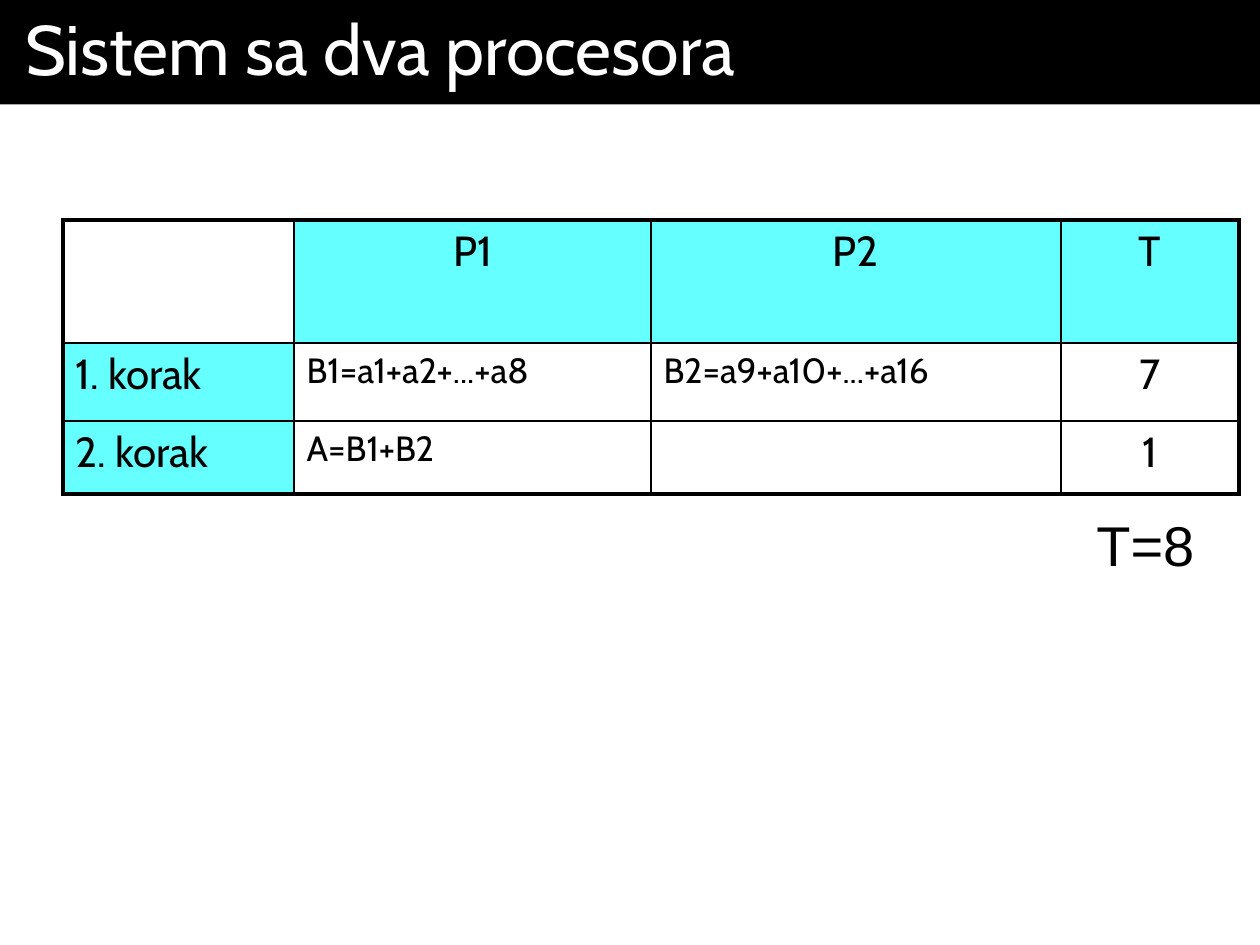
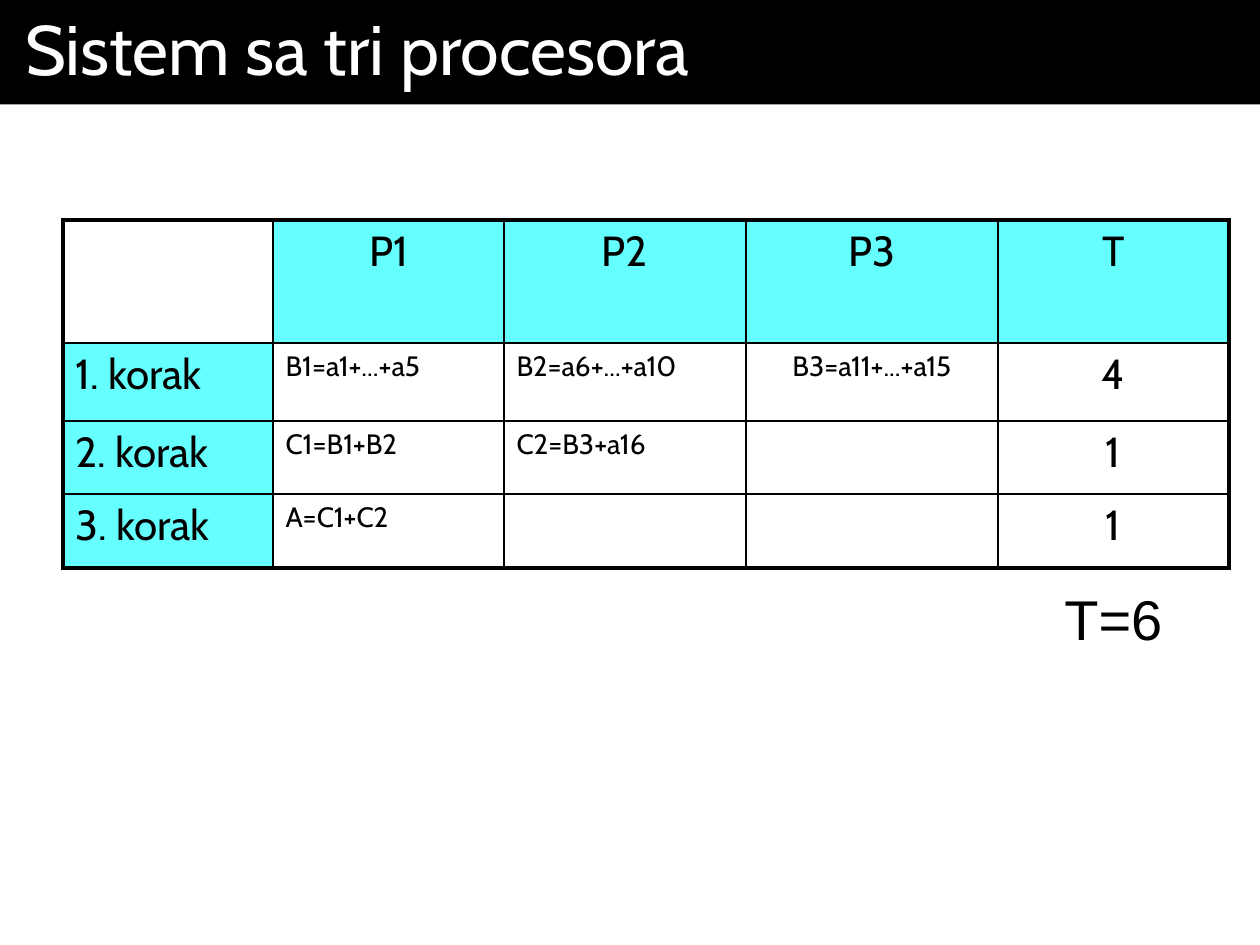
import pptx
import pptx.util
import pptx.dml.color
import pptx.enum.text
import pptx.oxml
import pptx.oxml.ns
from lxml import etree

PX = 914400 / 126  # EMU in one px
COLORS = {"band": "000000", "title": "FFFFFF", "text": "000000",
          "heading": "66FFFF", "border": "000000"}
FONT, TOTAL_FONT = "Cabin", "Arial"
HEADING_SIZE = 24
THIN, THICK = 1, 2.25
TITLE_BOX = (0, 0, 1260, 97)
TABLE_LEFT, TABLE_TOP = 63, 220
TOTAL_SIZE = (123, 79)
TOTAL_GAP = 10

ALIGN = pptx.enum.text.PP_ALIGN
ANCHOR = pptx.enum.text.MSO_ANCHOR
AUTO_SIZE = pptx.enum.text.MSO_AUTO_SIZE

SYSTEMS = [
    {"title": "Sistem sa dva procesora",
     "rows": [["", "P1", "P2", "T"],
              ["1. korak", "B1=a1+a2+...+a8", "B2=a9+a10+...+a16", "7"],
              ["2. korak", "A=B1+B2", "", "1"]],
     "widths": [231, 357, 410, 178], "heights": [123, 78, 73],
     "formula_size": 20, "centred": {3},
     "total": "T=8", "total_left": 1084},
    {"title": "Sistem sa tri procesora",
     "rows": [["", "P1", "P2", "P3", "T"],
              ["1. korak", "B1=a1+...+a5", "B2=a6+...+a10", "B3=a11+...+a15", "4"],
              ["2. korak", "C1=B1+B2", "C2=B3+a16", "", "1"],
              ["3. korak", "A=C1+C2", "", "", "1"]],
     "widths": [210, 231, 242, 252, 231], "heights": [123, 78, 73, 74],
     "formula_size": 16, "centred": {3, 4},
     "total": "T=6", "total_left": 1052},
]


def emu(px):
    return pptx.util.Emu(round(px * PX))


def rgb(key):
    return pptx.dml.color.RGBColor.from_string(COLORS[key])


def set_all(target, values):
    for name, value in values.items():
        setattr(target, name, value)


def write(frame, text, font, size, color, align=ALIGN.LEFT):
    frame.text = text
    paragraph = frame.paragraphs[0]
    paragraph.alignment = align
    set_all(paragraph.font, {"name": font, "size": pptx.util.Pt(size), "bold": False})
    paragraph.font.color.rgb = rgb(color)
    return paragraph


def add_title(slide, box, text):
    title = slide.shapes.title
    set_all(title, dict(zip(("left", "top", "width", "height"), map(emu, box))))
    title.fill.solid()
    title.fill.fore_color.rgb = rgb("band")
    set_all(title.text_frame, {
        "margin_left": emu(25), "margin_right": emu(25),
        "margin_top": emu(6), "margin_bottom": emu(6),
        "vertical_anchor": ANCHOR.TOP, "word_wrap": True,
        "auto_size": AUTO_SIZE.SHAPE_TO_FIT_TEXT})
    write(title.text_frame, text, FONT, 40, "title")


def set_borders(cell, weights):
    properties = cell._tc.get_or_add_tcPr()
    for side in "LRTB":
        line = etree.SubElement(properties, pptx.oxml.ns.qn(f"a:ln{side}"),
                                w=str(pptx.util.Pt(weights[side])))
        fill = etree.SubElement(line, pptx.oxml.ns.qn("a:solidFill"))
        etree.SubElement(fill, pptx.oxml.ns.qn("a:srgbClr"), val=COLORS["border"])


def add_schedule(slide, left, top, system):
    rows, widths, heights = system["rows"], system["widths"], system["heights"]
    last_row, last_column = len(heights) - 1, len(widths) - 1
    schedule = slide.shapes.add_table(
        len(heights), len(widths), emu(left), emu(top),
        emu(sum(widths)), emu(sum(heights))).table
    set_all(schedule, {"first_row": False, "horz_banding": False})
    for column, width in zip(schedule.columns, widths):
        column.width = emu(width)
    for row, height in zip(schedule.rows, heights):
        row.height = emu(height)

    for r, texts in enumerate(rows):
        for c, text in enumerate(texts):
            cell = schedule.cell(r, c)
            # Thick lines run round the outside only
            outer = {"L": c == 0, "R": c == last_column, "T": r == 0, "B": r == last_row}
            set_borders(cell, {side: THICK if edge else THIN for side, edge in outer.items()})
            is_heading = (r == 0) != (c == 0)
            if is_heading:
                cell.fill.solid()
                cell.fill.fore_color.rgb = rgb("heading")
            else:
                cell.fill.background()
            if text:
                large = is_heading or c == last_column
                size = HEADING_SIZE if large else system["formula_size"]
                centred = r == 0 or c in system["centred"]
                paragraph = write(cell.text_frame, text, FONT, size, "text",
                                  ALIGN.CENTER if centred else ALIGN.LEFT)
                paragraph.space_before = pptx.util.Pt(size * 0.2)


def add_total(slide, left, top, text):
    total = slide.shapes.add_textbox(emu(left), emu(top), *map(emu, TOTAL_SIZE))
    set_all(total.text_frame, {"word_wrap": False,
                               "auto_size": AUTO_SIZE.SHAPE_TO_FIT_TEXT})
    write(total.text_frame, text, TOTAL_FONT, 32, "text")


def add_system_slide(deck, system):
    slide = deck.slides.add_slide(deck.slide_layouts[5])
    add_title(slide, TITLE_BOX, system["title"])
    add_schedule(slide, TABLE_LEFT, TABLE_TOP, system)
    # Total time sits just below the T column
    total_top = TABLE_TOP + sum(system["heights"]) + TOTAL_GAP
    add_total(slide, system["total_left"], total_top, system["total"])


def main():
    deck = pptx.Presentation()
    set_all(deck, {"slide_width": emu(1260), "slide_height": emu(945)})
    for system in SYSTEMS:
        add_system_slide(deck, system)
    deck.save("out.pptx")


if __name__ == "__main__":
    main()
